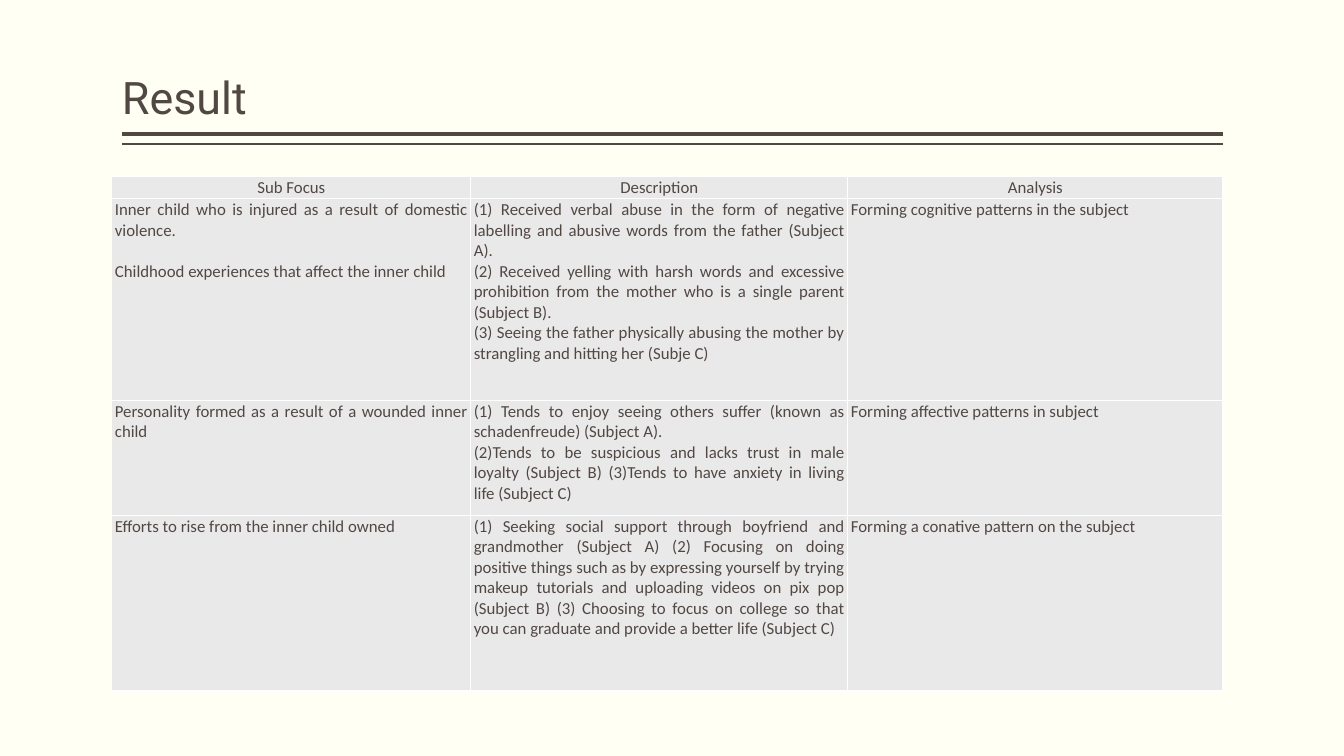
from dataclasses import dataclass

from lxml.etree import SubElement
from pptx import Presentation
from pptx.dml.color import RGBColor
from pptx.enum.text import MSO_ANCHOR, MSO_AUTO_SIZE, PP_ALIGN
from pptx.oxml import parse_xml
from pptx.oxml.ns import nsdecls, qn
from pptx.util import Inches, Pt

INK = "514843"
PAPER = "FFFFF3"
CELL_FILL = "E9E9E9"
BORDER = "FFFFFF"
RULE_LEFT, RULE_RIGHT = 1.21, 12.13
LINE_GAP = 14.6
COLUMN_WIDTHS = (3.56, 3.74, 3.72)
CELL_FORMAT = {
    "margin_left": Inches(0.03),
    "margin_right": Inches(0.03),
    "margin_top": Inches(0.01),
    "margin_bottom": Inches(0.01),
    "vertical_anchor": MSO_ANCHOR.TOP,
}
TITLE_FORMAT = {
    "margin_left": 0,
    "margin_right": 0,
    "margin_top": Inches(0.05),
    "margin_bottom": Inches(0.05),
    "vertical_anchor": MSO_ANCHOR.BOTTOM,
    "word_wrap": True,
    "auto_size": MSO_AUTO_SIZE.NONE,
}


@dataclass
class Rule:
    top: float
    weight: float


@dataclass
class Row:
    height: float
    cells: tuple[tuple[str, ...], ...]
    align: PP_ALIGN = PP_ALIGN.JUSTIFY
    gap: float = 0


RULES = (Rule(1.33, 3), Rule(1.43, 1))
ROWS = (
    Row(0.22, (("Sub Focus",), ("Description",), ("Analysis",)), PP_ALIGN.CENTER),
    Row(2, (
        ("Inner child who is injured as a result of domestic violence.",
         "Childhood experiences that affect the inner child"),
        ("(1) Received verbal abuse in the form of negative labelling and abusive "
         "words from the father (Subject A).",
         "(2) Received yelling with harsh words and excessive prohibition from the "
         "mother who is a single parent (Subject B).",
         "(3) Seeing the father physically abusing the mother by strangling and "
         "hitting her (Subje C)"),
        ("Forming cognitive patterns in the subject",),
    ), gap=LINE_GAP),
    Row(1.14, (
        ("Personality formed as a result of a wounded inner child",),
        ("(1) Tends to enjoy seeing others suffer (known as schadenfreude) (Subject A).",
         "(2)Tends to be suspicious and lacks trust in male loyalty (Subject B) "
         "(3)Tends to have anxiety in living life (Subject C)"),
        ("Forming affective patterns in subject",),
    )),
    Row(1.74, (
        ("Efforts to rise from the inner child owned",),
        ("(1) Seeking social support through boyfriend and grandmother (Subject A) "
         "(2) Focusing on doing positive things such as by expressing yourself by "
         "trying makeup tutorials and uploading videos on pix pop (Subject B) "
         "(3) Choosing to focus on college so that you can graduate and provide a "
         "better life (Subject C)",),
        ("Forming a conative pattern on the subject",),
    )),
)


def color(value: str) -> RGBColor:
    return RGBColor.from_string(value)


def apply(target, values: dict) -> None:
    for name, value in values.items():
        setattr(target, name, value)


def write(para, text: str, font: str, size: float) -> None:
    span = para.add_run()
    span.text = text
    apply(span.font, {"name": font, "size": Pt(size)})
    span.font.color.rgb = color(INK)


def draw_title(page, text: str) -> None:
    box = page.shapes.title
    apply(box, {"left": Inches(RULE_LEFT), "top": Inches(0.08),
                "width": Inches(RULE_RIGHT - RULE_LEFT), "height": Inches(1.2)})
    apply(box.text_frame, TITLE_FORMAT)
    para = box.text_frame.paragraphs[0]
    apply(para, {"alignment": PP_ALIGN.LEFT, "line_spacing": 0.9})
    write(para, text, "Roboto", 32)


def draw_rule(page, rule: Rule) -> None:
    line = page.shapes.add_connector(
        1, Inches(RULE_RIGHT), Inches(rule.top), Inches(RULE_LEFT), Inches(rule.top))
    line.line.color.rgb = color(INK)
    line.line.width = Pt(rule.weight)
    SubElement(line._element.spPr, qn("a:effectLst"))


def add_borders(cell) -> None:
    properties = cell._tc.get_or_add_tcPr()
    for position, side in enumerate("LRTB"):
        properties.insert(position, parse_xml(
            f'<a:ln{side} {nsdecls("a")} w="{Pt(1)}"><a:solidFill>'
            f'<a:srgbClr val="{BORDER}"/></a:solidFill></a:ln{side}>'))


def fill_cell(cell, texts: tuple[str, ...], row: Row, gap: float) -> None:
    apply(cell, CELL_FORMAT)
    cell.fill.solid()
    cell.fill.fore_color.rgb = color(CELL_FILL)
    add_borders(cell)
    frame = cell.text_frame
    for number, text in enumerate(texts):
        para = frame.add_paragraph() if number else frame.paragraphs[0]
        apply(para, {"alignment": row.align, "space_before": Pt(gap if number else 0)})
        write(para, text, "Calibri", 12)


def draw_table(page, rows: tuple[Row, ...]) -> None:
    table = page.shapes.add_table(
        len(rows), len(COLUMN_WIDTHS), Inches(1.11), Inches(1.75),
        Inches(sum(COLUMN_WIDTHS)), Inches(sum(row.height for row in rows))).table
    apply(table, {"first_row": False, "horz_banding": False})
    for column, width in zip(table.columns, COLUMN_WIDTHS):
        column.width = Inches(width)
    for row, line in zip(rows, table.rows):
        line.height = Inches(row.height)
        for number, (cell, texts) in enumerate(zip(line.cells, row.cells)):
            fill_cell(cell, texts, row, 0 if number else row.gap)


def main() -> None:
    deck = Presentation()
    apply(deck, {"slide_width": Inches(13.33), "slide_height": Inches(7.5)})
    page = deck.slides.add_slide(deck.slide_layouts.get_by_name("Title Only"))
    page.background.fill.solid()
    page.background.fill.fore_color.rgb = color(PAPER)
    for rule in RULES:
        draw_rule(page, rule)
    draw_title(page, "Result")
    draw_table(page, ROWS)
    deck.save("out.pptx")


if __name__ == "__main__":
    main()
